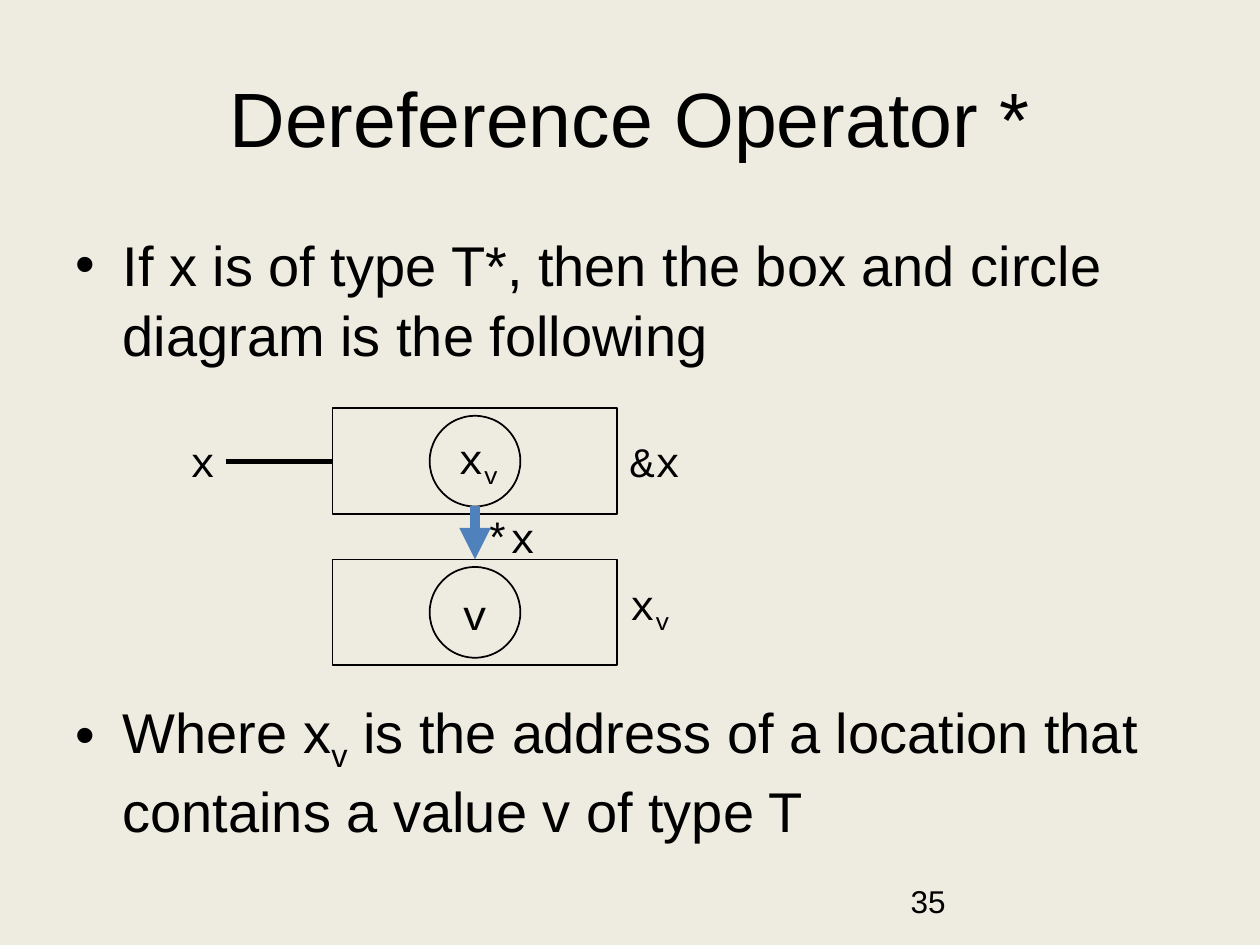
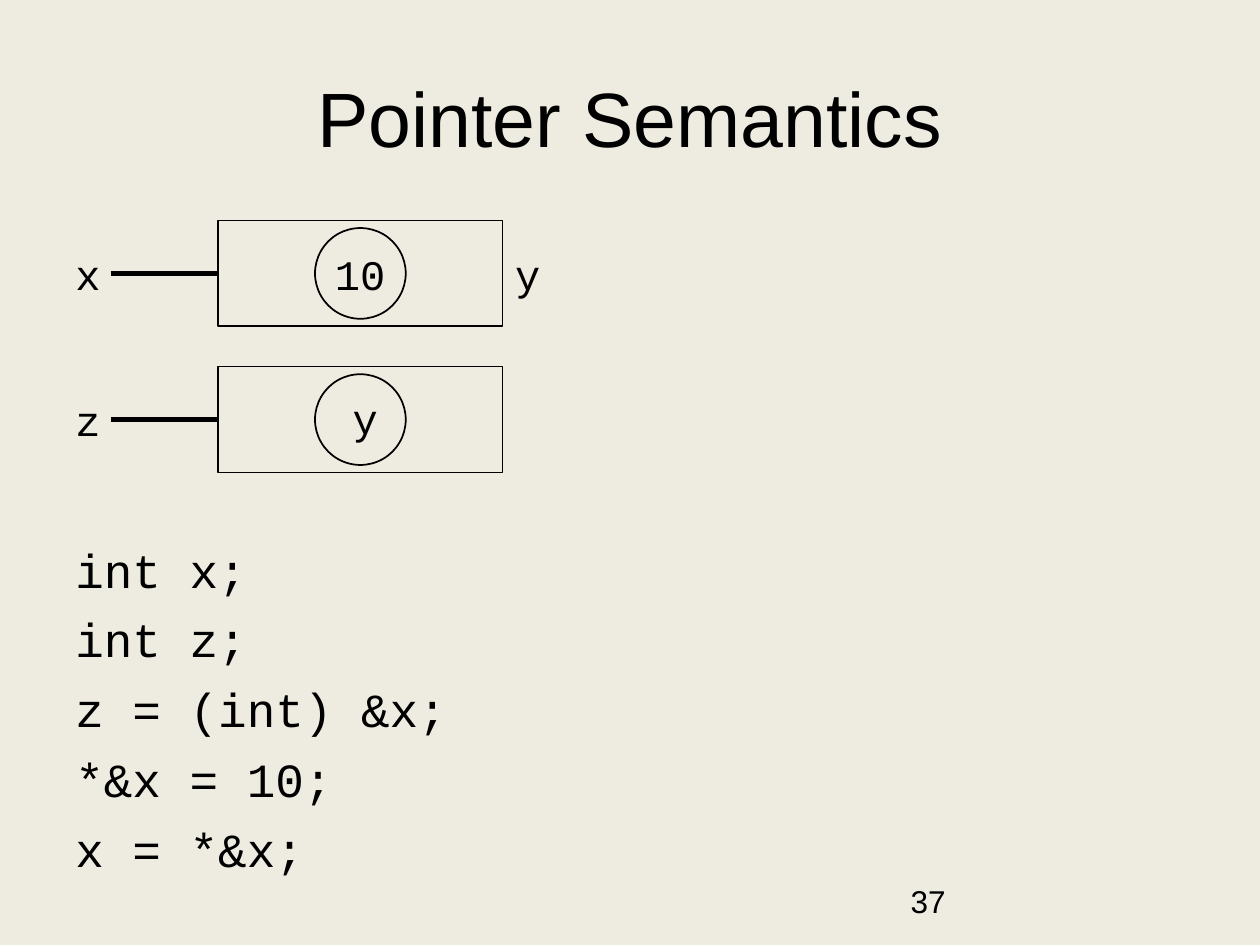
import pptx
import pptx.util
import pptx.dml.color
import pptx.enum.shapes
import pptx.enum.text
import pptx.oxml
import pptx.oxml.ns
import lxml.etree

Pt = pptx.util.Pt
INK, PAPER, ACCENT = "000000", "EEECE1", "4F81BD"
SANS, MONO = "Arial", "Courier New"
MARGIN, CONTENT_WIDTH = 36, 648
BOX_WIDTH, BOX_HEIGHT, CIRCLE = 162.72, 60.48, 51.84
LABEL_HEIGHT, NAME_WIDTH, STEM = 36, 27.36, 61.2


def colour(value):
    return pptx.dml.color.RGBColor.from_string(value)


def add_xml(parent, tag, **attributes):
    return lxml.etree.SubElement(parent, pptx.oxml.ns.qn(tag), attributes)


def format_run(run, font, size, base=0):
    run.font.name = font
    run.font.size = Pt(size)
    run.font.color.rgb = colour(INK)
    if base:
        run.font._element.set("baseline", str(base * 1000))


def add_text(slide, box, paragraphs, font, size, space=0):
    shape = slide.shapes.add_textbox(*(Pt(length) for length in box))
    frame = shape.text_frame
    frame.word_wrap = True
    for index, parts in enumerate(paragraphs):
        paragraph = frame.paragraphs[0] if index == 0 else frame.add_paragraph()
        paragraph.space_before = Pt(space)
        for position, part in enumerate(parts):
            run = paragraph.add_run()
            run.text = part
            format_run(run, font, size, -25 if position == 1 else 0)
    return frame


def add_label(slide, left, top, width, parts):
    frame = add_text(slide, (left, top, width, LABEL_HEIGHT), [parts], MONO, 24)
    frame.auto_size = pptx.enum.text.MSO_AUTO_SIZE.SHAPE_TO_FIT_TEXT


def add_outline(slide, kind, left, top, width, height):
    shape = slide.shapes.add_shape(kind, Pt(left), Pt(top), Pt(width), Pt(height))
    shape.shadow.inherit = False
    shape.fill.background()
    shape.line.color.rgb = colour(INK)
    shape.line.width = Pt(1)


def add_line(slide, start, end, line_colour, width, arrow=False):
    connector = slide.shapes.add_connector(
        pptx.enum.shapes.MSO_CONNECTOR.STRAIGHT,
        *(Pt(length) for length in start + end))
    connector.line.color.rgb = colour(line_colour)
    connector.line.width = Pt(width)
    if arrow:
        add_xml(connector.line._get_or_add_ln(), "a:tailEnd", type="triangle")
    add_xml(connector._element.spPr, "a:effectLst")


def add_variable(slide, left, top, value, value_box, name=None, address=None,
                 address_box=(12.24, 46.8)):
    kinds = pptx.enum.shapes.MSO_SHAPE
    middle = top + BOX_HEIGHT / 2
    add_outline(slide, kinds.RECTANGLE, left, top, BOX_WIDTH, BOX_HEIGHT)
    add_outline(slide, kinds.OVAL, left + (BOX_WIDTH - CIRCLE) / 2,
                middle - CIRCLE / 2, CIRCLE, CIRCLE)
    if name:
        add_label(slide, left - STEM - NAME_WIDTH, top + 12.24, NAME_WIDTH, [name])
        add_line(slide, (left - STEM, middle), (left, middle), INK, 3)
    value_left, value_top, value_width = value_box
    add_label(slide, left + value_left, top + value_top, value_width, value)
    if address:
        address_top, address_width = address_box
        add_label(slide, left + BOX_WIDTH, top + address_top, address_width, address)


def add_pointer_diagram(slide, left, top):
    gap = 86.4
    centre = left + BOX_WIDTH / 2
    pointer = ["x", "v"]
    add_variable(slide, left, top, pointer, (64.8, 10.08, 39.6), "x", ["&x"])
    add_variable(slide, left, top + gap, ["v"], (66.96, 12.96, 28.08),
                 address=pointer, address_box=(7.2, 39.6))
    add_label(slide, left + 79.92, top + 55.44, 45.36, ["*x"])
    add_line(slide, (centre, top + (BOX_HEIGHT + CIRCLE) / 2),
             (centre, top + gap), ACCENT, 6, arrow=True)


def add_bullets(slide, box, paragraphs, gap):
    frame = add_text(slide, box, paragraphs, SANS, 32, 4)
    for paragraph in frame.paragraphs:
        paragraph.line_spacing = 1.05
        properties = paragraph._element.get_or_add_pPr()
        properties.set("marL", str(Pt(27)))
        properties.set("indent", str(-Pt(27)))
        add_xml(properties, "a:buFont", typeface=SANS)
        add_xml(properties, "a:buChar", char="\u2022")
    frame.paragraphs[-1].space_before = Pt(gap)


def add_code(slide, box, lines):
    add_text(slide, box, [[line] for line in lines], MONO, 27.2, 7.2)


def add_slide(presentation, title, number):
    slide = presentation.slides.add_slide(presentation.slide_layouts[6])
    frame = add_text(slide, (MARGIN, 21.6, CONTENT_WIDTH, 90), [[title]], SANS, 44)
    frame.vertical_anchor = pptx.enum.text.MSO_ANCHOR.MIDDLE
    frame.paragraphs[0].alignment = pptx.enum.text.PP_ALIGN.CENTER
    add_text(slide, (513.36, 500.4, 167.76, 28.8), [[number]], SANS, 18)
    return slide


def build_dereference_slide(presentation):
    slide = add_slide(presentation, "Dereference Operator *", "35")
    add_bullets(slide, (MARGIN, 126, CONTENT_WIDTH, 356.4), [
        ["If x is of type T*, then the box and circle diagram is the following"],
        ["Where x", "v",
         " is the address of a location that contains a value v of type T"],
    ], 186)
    add_pointer_diagram(slide, 190.08, 233.28)


def build_semantics_slide(presentation):
    slide = add_slide(presentation, "Pointer Semantics", "37")
    add_code(slide, (MARGIN, 305.28, CONTENT_WIDTH, 174.24),
             ["int x;", "int z;", "z = (int) &x;", "*&x = 10;", "x = *&x;"])
    left = MARGIN + NAME_WIDTH + STEM
    add_variable(slide, left, 126, ["10"], (59.76, 12.24, 46.8), "x", ["y"])
    add_variable(slide, left, 209.52, ["y"], (69.84, 11.52, 46.8), "z")


presentation = pptx.Presentation()
presentation.slide_width, presentation.slide_height = Pt(720), Pt(540)
background = presentation.slide_master.background.fill
background.solid()
background.fore_color.rgb = colour(PAPER)
build_dereference_slide(presentation)
build_semantics_slide(presentation)
presentation.save("out.pptx")
